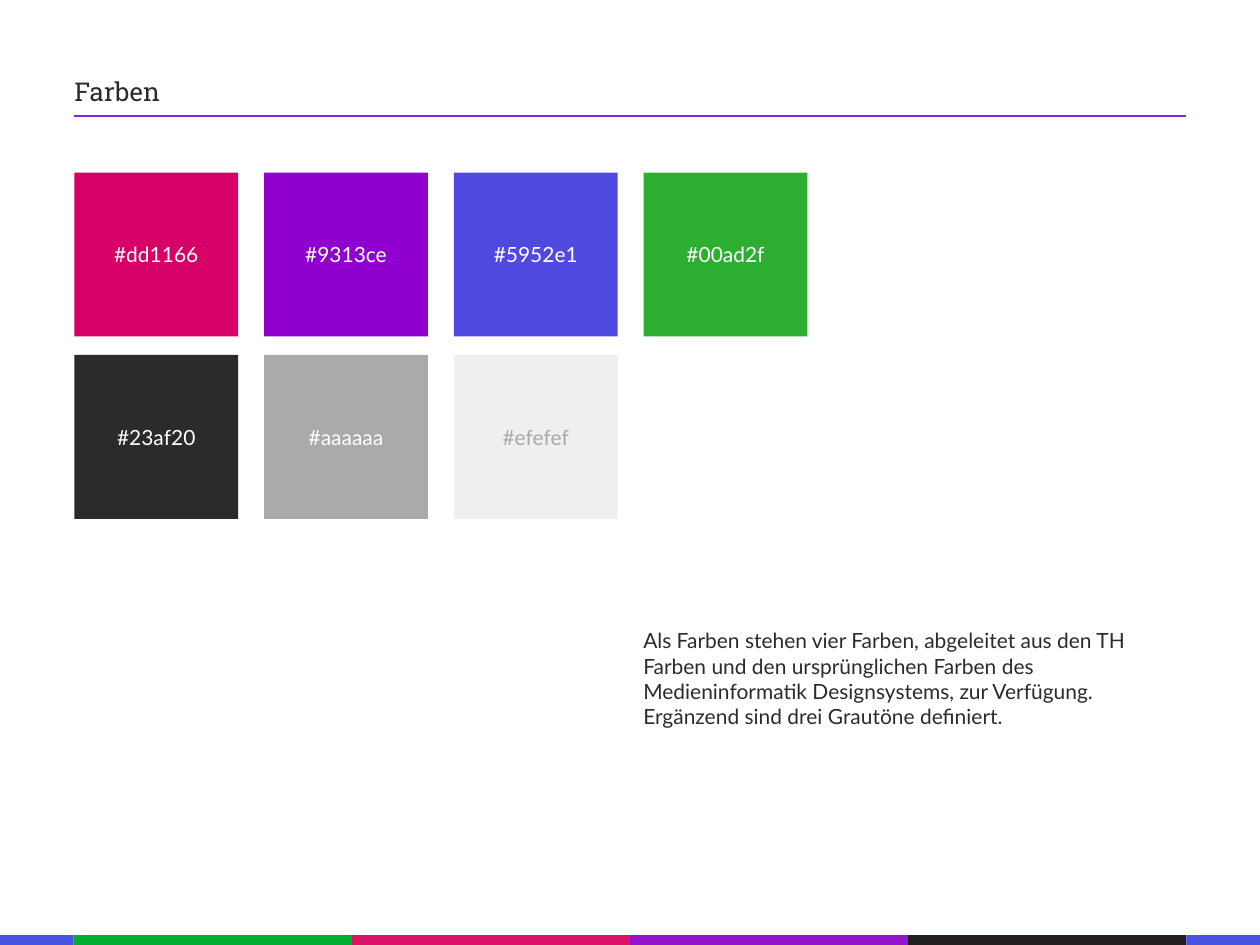
from lxml import etree
from pptx import Presentation
from pptx.dml.color import RGBColor
from pptx.enum import shapes, text
from pptx.oxml.ns import qn
from pptx.util import Cm, Pt

WHITE = RGBColor(0xFF, 0xFF, 0xFF)
INK = RGBColor(0x2B, 0x2B, 0x2B)
TITLE_INK = RGBColor(0x2C, 0x2B, 0x2B)
RULE = RGBColor(0x87, 0x23, 0xC7)
PINK = RGBColor(0xD6, 0x00, 0x67)
PURPLE = RGBColor(0x90, 0x00, 0xCE)
BLUE = RGBColor(0x4F, 0x49, 0xE0)
GREEN = RGBColor(0x2C, 0xAF, 0x30)
GREY = RGBColor(0xAA, 0xAA, 0xAA)
LIGHT = RGBColor(0xEF, 0xEF, 0xEF)
BAR_GREEN = RGBColor(0x01, 0xAD, 0x2F)
BAR_PINK = RGBColor(0xDD, 0x11, 0x66)
BAR_PURPLE = RGBColor(0x93, 0x14, 0xCE)
BAR_BLACK = RGBColor(0x23, 0x1F, 0x20)
BAR_BLUE = RGBColor(0x49, 0x53, 0xE1)

WIDTH, HEIGHT = 36.12, 27.1
LEFT = 2.13

prs = Presentation()
prs.slide_width, prs.slide_height = Cm(WIDTH), Cm(HEIGHT)
s = prs.slides.add_slide(prs.slide_layouts[1])


def write(sp, content, size=17, font="Lato", color=INK, align=text.PP_ALIGN.LEFT,
          anchor=text.MSO_ANCHOR.MIDDLE, inset=0, wrap=True,
          fit=text.MSO_AUTO_SIZE.SHAPE_TO_FIT_TEXT):
    tf = sp.text_frame
    tf.margin_left = tf.margin_top = tf.margin_right = tf.margin_bottom = Cm(inset)
    tf.word_wrap, tf.auto_size, tf.vertical_anchor = wrap, fit, anchor
    p = tf.paragraphs[0]
    p.alignment, p.space_before = align, Pt(0)
    r = p.add_run()
    r.text = content
    r.font.size, r.font.name, r.font.color.rgb = Pt(size), font, color


def add_rect(x, y, w, h, fill):
    sp = s.shapes.add_shape(shapes.MSO_SHAPE.RECTANGLE, Cm(x), Cm(y), Cm(w), Cm(h))
    sp.shadow.inherit = False
    sp.fill.solid()
    sp.fill.fore_color.rgb = fill
    sp.line.fill.background()
    return sp


# Title and rule
title = s.shapes.title
title.left, title.top, title.width, title.height = Cm(LEFT), Cm(2.11), Cm(2.49), Cm(0.99)
write(title, "Farben", size=21, font="Roboto Slab", color=TITLE_INK, wrap=False)

rule = s.shapes.add_connector(shapes.MSO_CONNECTOR.STRAIGHT,
                              Cm(LEFT), Cm(3.33), Cm(34.01), Cm(3.33))
rule.line.color.rgb, rule.line.width = RULE, Pt(2)
etree.SubElement(rule._element.spPr, qn("a:effectLst"))

# Colour swatches
swatches = [
    [("#dd1166", PINK, WHITE), ("#9313ce", PURPLE, WHITE),
     ("#5952e1", BLUE, WHITE), ("#00ad2f", GREEN, WHITE)],
    [("#23af20", INK, WHITE), ("#aaaaaa", GREY, WHITE), ("#efefef", LIGHT, GREY)],
]
for row, line in enumerate(swatches):
    for col, (code, fill, color) in enumerate(line):
        sp = add_rect(LEFT + col * 5.44, 4.95 + row * 5.23, 4.7, 4.7, fill)
        write(sp, code, color=color, align=text.PP_ALIGN.CENTER, inset=0.15,
              fit=text.MSO_AUTO_SIZE.NONE)

# Description
body = s.placeholders[1]
body.left, body.top, body.width, body.height = Cm(18.44), Cm(18.01), Cm(15.54), Cm(3.02)
write(body, "Als Farben stehen vier Farben, abgeleitet aus den TH Farben und den "
      "ursprünglichen Farben des Medieninformatik Designsystems, zur Verfügung. "
      "Ergänzend sind drei Grautöne definiert.", anchor=text.MSO_ANCHOR.TOP)
pPr = body.text_frame.paragraphs[0]._p.get_or_add_pPr()
pPr.set("marL", "0")
pPr.set("indent", "0")
etree.SubElement(pPr, qn("a:buNone"))

# Colour bar along the bottom edge
BAR_TOP, BAR_HEIGHT, END = 26.82, 0.71, 2.11
segment = (WIDTH - 2 * END) / 4
for i, fill in enumerate([BAR_GREEN, BAR_PINK, BAR_PURPLE, BAR_BLACK]):
    add_rect(END + i * segment, BAR_TOP, segment, BAR_HEIGHT, fill)
for x in (0, WIDTH - END):
    add_rect(x, BAR_TOP, END, BAR_HEIGHT, BAR_BLUE)

prs.save("out.pptx")
